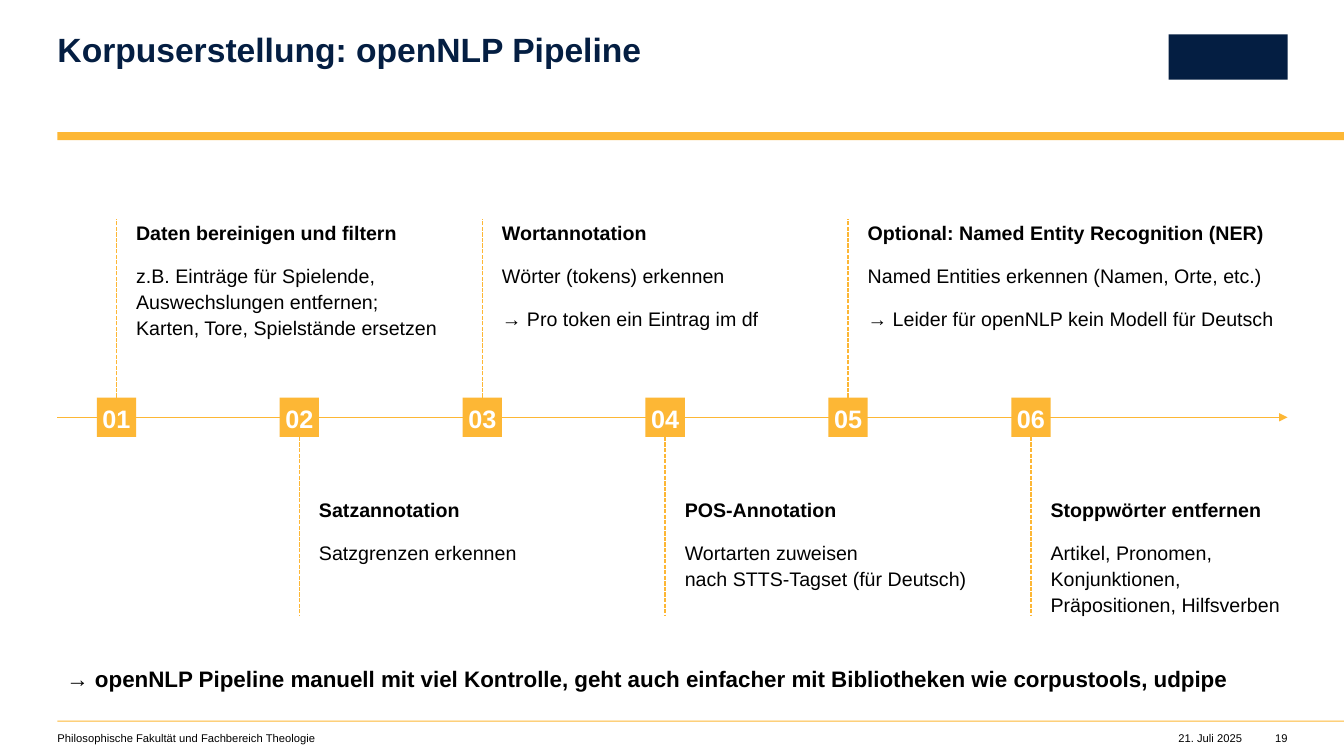
from copy import deepcopy

from lxml import etree
from pptx import Presentation
from pptx.dml.color import RGBColor
from pptx.enum.dml import MSO_LINE
from pptx.enum.shapes import MSO_CONNECTOR, MSO_SHAPE
from pptx.enum.text import MSO_ANCHOR, PP_ALIGN
from pptx.oxml.ns import qn
from pptx.util import Inches, Pt

RECTANGLE = MSO_SHAPE.RECTANGLE
STRAIGHT = MSO_CONNECTOR.STRAIGHT
DASHED = MSO_LINE.SQUARE_DOT
LEFT, CENTER, RIGHT = PP_ALIGN.LEFT, PP_ALIGN.CENTER, PP_ALIGN.RIGHT
TOP, MIDDLE = MSO_ANCHOR.TOP, MSO_ANCHOR.MIDDLE
BOX_TOP, BOX_BOTTOM = 0, 2

COLORS = {"navy": "041E42", "gold": "FDB735", "black": "000000", "white": "FFFFFF"}
FONT = "Arial"

# Grid in inches
PAGE_WIDTH, PAGE_HEIGHT = 13.33, 7.5
MARGIN_LEFT, MARGIN_RIGHT = 0.57, 12.77
AXIS_Y = 4.14
FIRST_COLUMN, LAST_COLUMN = 0.96, 10.03
MARKER = 0.39
UPPER_ROW, LOWER_ROW, LOWER_END = 2.17, 4.92, 6.11
TEXT_HEIGHT = 1.18
FOOTER_Y, FOOTER_HEIGHT = 7.26, 0.13

# Text width, heading, paragraphs; the steps alternate above and below the axis
STEPS = [
    (3.23, "Daten bereinigen und filtern",
     ["z.B. Einträge für Spielende, Auswechslungen entfernen;\n"
      "Karten, Tore, Spielstände ersetzen"]),
    (3.23, "Satzannotation", ["Satzgrenzen erkennen"]),
    (2.98, "Wortannotation",
     ["Wörter (tokens) erkennen", "→ Pro token ein Eintrag im df"]),
    (3.04, "POS-Annotation",
     ["Wortarten zuweisen\nnach STTS-Tagset (für Deutsch)"]),
    (4.04, "Optional: Named Entity Recognition (NER)",
     ["Named Entities erkennen (Namen, Orte, etc.)",
      "→ Leider für openNLP kein Modell für Deutsch"]),
    (2.35, "Stoppwörter entfernen",
     ["Artikel, Pronomen, Konjunktionen, Präpositionen, Hilfsverben"]),
]


def color(name):
    return RGBColor.from_string(COLORS[name])


def prepare_frame(frame, anchor=TOP):
    frame.margin_left = frame.margin_right = 0
    frame.margin_top = frame.margin_bottom = 0
    frame.word_wrap = True
    frame.vertical_anchor = anchor


def write_paragraph(para, text, size, color_name="black", bold=False,
                    align=LEFT, line_spacing=1.0, space_after=0):
    para.text = text
    para.alignment = align
    para.line_spacing = line_spacing
    para.space_before = Pt(0)
    para.space_after = Pt(space_after)
    for span in para.runs:
        span.font.name = FONT
        span.font.size = Pt(size)
        span.font.bold = bold
        span.font.color.rgb = color(color_name)
    for line_break in para._p.findall(qn("a:br")):
        line_break.append(deepcopy(para.runs[0]._r.rPr))


def add_text(page, left, top, width, height):
    box = page.shapes.add_textbox(Inches(left), Inches(top), Inches(width), Inches(height))
    prepare_frame(box.text_frame)
    return box.text_frame


def add_block(page, left, top, width, height, color_name="gold"):
    block = page.shapes.add_shape(
        RECTANGLE, Inches(left), Inches(top), Inches(width), Inches(height))
    block.shadow.inherit = False
    block.fill.solid()
    block.fill.fore_color.rgb = color(color_name)
    block.line.fill.background()
    return block


def add_line(page, start, end):
    line = page.shapes.add_connector(STRAIGHT, *map(Inches, start + end))
    line.line.color.rgb = color("gold")
    line.line.width = Pt(1)
    etree.SubElement(line._element.spPr, qn("a:effectLst"))
    return line


def add_title(page, text):
    title = page.shapes.title
    title.left, title.top = Inches(MARGIN_LEFT), Inches(0.33)
    title.width, title.height = Inches(7.49), Inches(0.36)
    prepare_frame(title.text_frame)
    write_paragraph(title.text_frame.paragraphs[0], text, 24, "navy",
                    bold=True, line_spacing=0.9)


def add_axis(page):
    axis = add_line(page, (MARGIN_LEFT, AXIS_Y), (MARGIN_RIGHT, AXIS_Y))
    etree.SubElement(axis.line._get_or_add_ln(), qn("a:tailEnd"), type="triangle")


def add_step(page, index, width, heading, details):
    """Draw a numbered marker, its dashed guide and the text beside the guide."""
    above = index % 2 == 0
    left = FIRST_COLUMN + index * (LAST_COLUMN - FIRST_COLUMN) / (len(STEPS) - 1)
    center = left + MARKER / 2

    marker = add_block(page, left, AXIS_Y - MARKER / 2, MARKER, MARKER)
    prepare_frame(marker.text_frame, MIDDLE)
    write_paragraph(marker.text_frame.paragraphs[0], f"{index + 1:02}", 18, "white",
                    bold=True, align=CENTER, line_spacing=1.1, space_after=12)

    guide = add_line(page, (center, AXIS_Y), (center, UPPER_ROW if above else LOWER_END))
    guide.line.dash_style = DASHED
    guide.begin_connect(marker, BOX_TOP if above else BOX_BOTTOM)

    frame = add_text(page, left + MARKER, UPPER_ROW if above else LOWER_ROW,
                     width, TEXT_HEIGHT)
    write_paragraph(frame.paragraphs[0], heading, 14, bold=True,
                    line_spacing=1.1, space_after=12)
    for detail in details:
        write_paragraph(frame.add_paragraph(), detail, 14,
                        line_spacing=1.1, space_after=12)


def add_footer(page):
    for left, width, text, align in [
        (MARGIN_LEFT, 5.98, "Philosophische Fakultät und Fachbereich Theologie", LEFT),
        (11.39, 0.93, "21. Juli 2025", RIGHT),
        (12.56, 0.21, "19", RIGHT),
    ]:
        frame = add_text(page, left, FOOTER_Y, width, FOOTER_HEIGHT)
        write_paragraph(frame.paragraphs[0], text, 8, align=align)


def main():
    deck = Presentation()
    deck.slide_width, deck.slide_height = Inches(PAGE_WIDTH), Inches(PAGE_HEIGHT)
    page = deck.slides.add_slide(deck.slide_layouts[5])

    for top, height in [(1.31, 0.08), (7.15, 0.01)]:
        add_block(page, MARGIN_LEFT, top, PAGE_WIDTH - MARGIN_LEFT, height)
    add_block(page, 11.59, 0.34, 1.18, 0.45, "navy")
    add_title(page, "Korpuserstellung: openNLP Pipeline")
    add_footer(page)

    add_axis(page)
    for index, step in enumerate(STEPS):
        add_step(page, index, *step)

    conclusion = add_text(page, 0.66, 6.57, 11.67, 0.27)
    write_paragraph(
        conclusion.paragraphs[0],
        "→ openNLP Pipeline manuell mit viel Kontrolle, geht auch einfacher "
        "mit Bibliotheken wie corpustools, udpipe",
        16, bold=True, line_spacing=1.1, space_after=12)

    deck.save("out.pptx")


if __name__ == "__main__":
    main()
